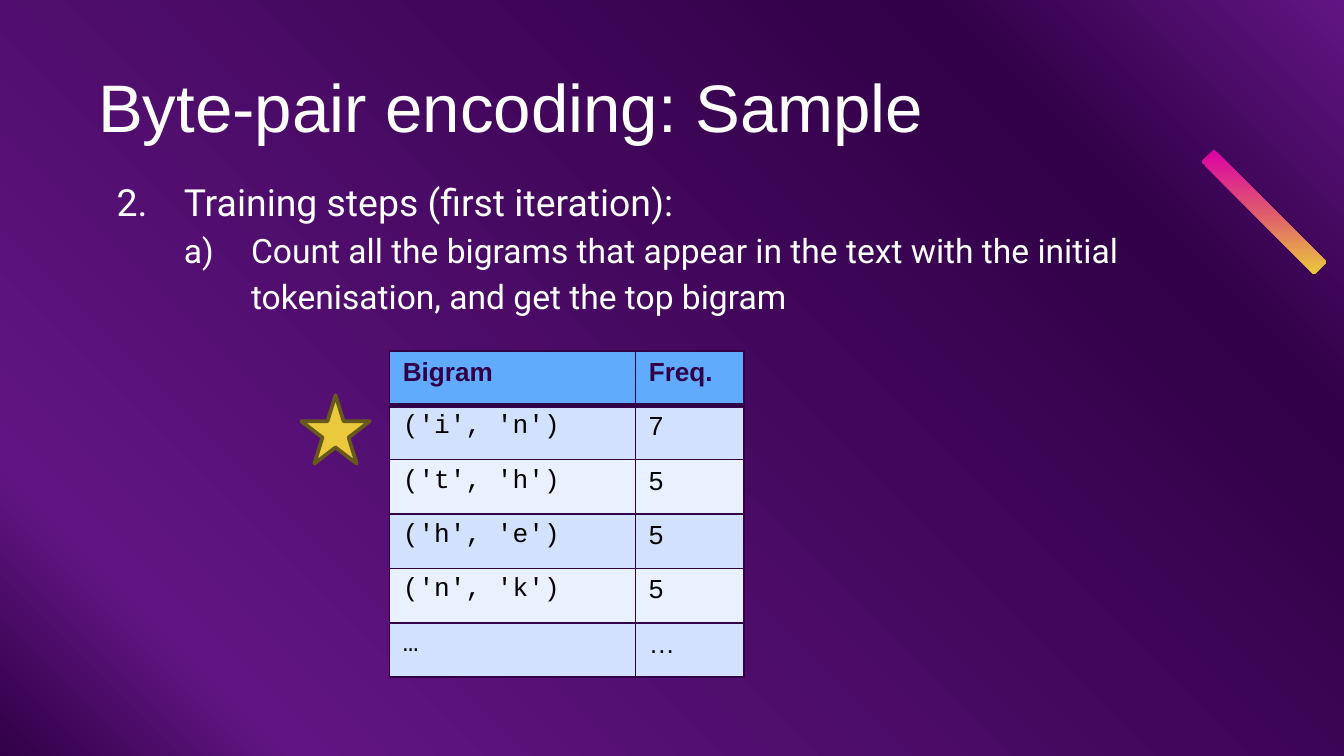
from pptx import Presentation
from pptx.dml.color import RGBColor
from pptx.enum.shapes import MSO_SHAPE as Shape
from pptx.enum.text import MSO_ANCHOR as Anchor, MSO_AUTO_SIZE as AutoSize, PP_ALIGN as Align
from pptx.oxml.ns import qn
from pptx.util import Pt
from lxml.etree import SubElement, Element

DARK, PURPLE, WHITE, GOLD = "310047", "611582", "FFFFFF", "EAC93D"
HEADER, BANDS = "61ABFC", ("D2E2FE", "EAF1FE")
BIGRAMS = [("('i', 'n')", "7"), ("('t', 'h')", "5"), ("('h', 'e')", "5"),
           ("('n', 'k')", "5"), ("…", "…")]


def color(value):
    """Turn a hex string into a colour."""
    return RGBColor.from_string(value)


def write(para, text, size=14, font="Arial", fill=WHITE, bold=False):
    """Add one formatted run of text to a paragraph."""
    span = para.add_run()
    span.text = text
    span.font.size = Pt(size)
    span.font.name = font
    span.font.bold = bold
    span.font.color.rgb = color(fill)


def set_gradient(fill, owner, stops, angle):
    """Give a fill a linear gradient with stops in percent and a clockwise angle."""
    fill.gradient()
    fill.gradient_angle = (360 - angle) % 360
    stop_list = owner.find(".//" + qn("a:gsLst"))
    for old in list(stop_list):
        stop_list.remove(old)
    for percent, value in stops:
        stop = SubElement(stop_list, qn("a:gs"), pos=str(percent * 1000))
        SubElement(stop, qn("a:srgbClr"), val=value)


def set_frame(box, top=7.2):
    """Set the insets, wrapping and anchor of a text box."""
    frame = box.text_frame
    frame.word_wrap = True
    frame.auto_size = AutoSize.NONE
    frame.vertical_anchor = Anchor.TOP
    frame.margin_left = frame.margin_right = frame.margin_bottom = Pt(7.2)
    frame.margin_top = Pt(top)
    return frame


def number_paragraph(para, scheme, start, left):
    """Number a paragraph with a hanging indent."""
    props = para._p.get_or_add_pPr()
    props.set("marL", str(Pt(left)))
    props.set("indent", str(Pt(-36)))
    SubElement(SubElement(props, qn("a:buClr")), qn("a:srgbClr"), val=WHITE)
    SubElement(props, qn("a:buFont"), typeface="Roboto")
    SubElement(props, qn("a:buAutoNum"), type=scheme, startAt=str(start))


def set_borders(cell, top=1, bottom=1):
    """Draw the four borders of a table cell."""
    props = cell._tc.get_or_add_tcPr()
    widths = {"a:lnL": 1, "a:lnR": 1, "a:lnT": top, "a:lnB": bottom}
    for place, (tag, width) in enumerate(widths.items()):
        line = Element(qn(tag), w=str(Pt(width)))
        SubElement(SubElement(line, qn("a:solidFill")), qn("a:srgbClr"), val=DARK)
        props.insert(place, line)


def add_title(page, left, top, width, height):
    """Place and fill the title."""
    title = page.shapes.title
    title.left, title.top, title.width, title.height = map(Pt, (left, top, width, height))
    para = set_frame(title, top=10.4).paragraphs[0]
    para.alignment = Align.LEFT
    para.line_spacing = 1.0
    write(para, "Byte-pair encoding: Sample", size=36)


def add_ribbon(page, left, top, size, thickness):
    """Draw the diagonal gradient ribbon."""
    right, bottom = left + size, top + size
    builder = page.shapes.build_freeform(Pt(left), Pt(top + thickness))
    builder.add_line_segments([(Pt(x), Pt(y)) for x, y in (
        (left + thickness, top), (right, bottom - thickness), (right - thickness, bottom))])
    ribbon = builder.convert_to_shape()
    ribbon.shadow.inherit = False
    ribbon.line.fill.background()
    set_gradient(ribbon.fill, ribbon.element,
                 [(0, "DB00A6"), (50, "DF596E"), (100, GOLD)], 90)


def add_steps(page, left, top, width, height):
    """Write the numbered training steps."""
    box = page.shapes.add_textbox(Pt(left), Pt(top), Pt(width), Pt(height))
    frame = set_frame(box)
    step = frame.paragraphs[0]
    number_paragraph(step, "arabicPeriod", 2, 46)
    write(step, "Training steps (first iteration):", size=20, font="Roboto")
    detail = frame.add_paragraph()
    detail.level = 1
    detail.line_spacing = 1.15
    number_paragraph(detail, "alphaLcParenR", 1, 82)
    write(detail, "Count all the bigrams that appear in the text with the initial "
          "tokenisation, and get the top bigram", size=18, font="Roboto")


def add_bigram_table(page, left, top, width, height):
    """Build the table of bigram counts."""
    rows = [("Bigram", "Freq.")] + BIGRAMS
    table = page.shapes.add_table(len(rows), 2, Pt(left), Pt(top), Pt(width), Pt(height)).table
    table.columns[0].width = Pt(131.8)
    table.columns[1].width = Pt(width - 131.8)
    for row, values in enumerate(rows):
        table.rows[row].height = Pt(height / len(rows))
        for column, text in enumerate(values):
            cell = table.cell(row, column)
            head = row == 0
            cell.fill.solid()
            cell.fill.fore_color.rgb = color(HEADER if head else BANDS[(row - 1) % 2])
            set_borders(cell, top=3 if row == 1 else 1, bottom=3 if head else 1)
            write(cell.text_frame.paragraphs[0], text, bold=head,
                  fill=DARK if head else "000000",
                  font="Arial" if head or column else "Courier New")


def add_star(page, left, top, size):
    """Mark the top bigram with a star."""
    star = page.shapes.add_shape(Shape.STAR_5_POINT, Pt(left), Pt(top), Pt(size), Pt(size))
    star.shadow.inherit = False
    star.fill.solid()
    star.fill.fore_color.rgb = color(GOLD)
    star.line.color.rgb = color("67581B")
    star.line.width = Pt(2)


def main():
    """Build the deck and save it."""
    deck = Presentation()
    deck.slide_width, deck.slide_height = Pt(720), Pt(405)
    page = deck.slides.add_slide(deck.slide_layouts[5])
    set_gradient(page.background.fill, page.element,
                 [(0, DARK), (14, PURPLE), (80, DARK), (100, PURPLE)], 315)
    add_title(page, 45.4, 24.5, 622, 45.4)
    add_ribbon(page, 643.7, 80, 67, 6.7)
    add_steps(page, 45.4, 88.6, 636.5, 85)
    add_bigram_table(page, 208.6, 188, 190, 175)
    add_star(page, 161.4, 211.7, 36.7)
    deck.save("out.pptx")


if __name__ == "__main__":
    main()
